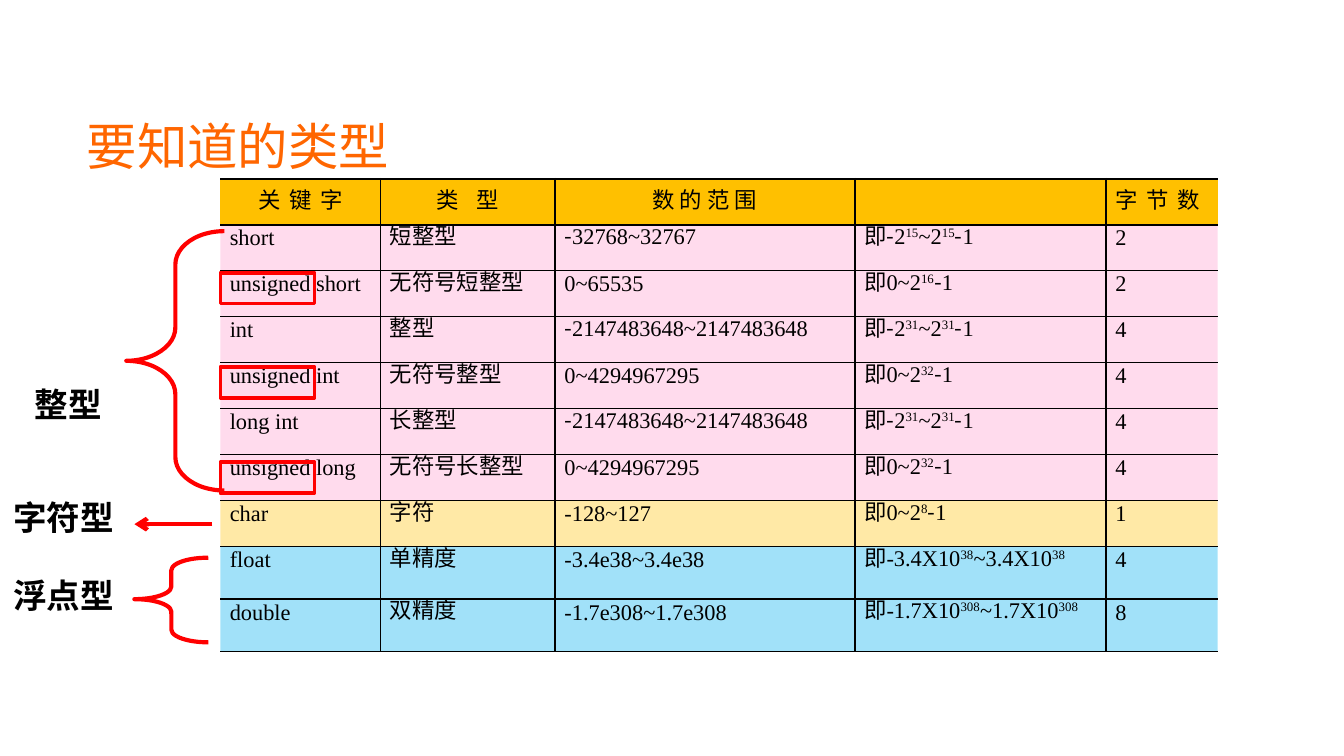
from lxml import etree
from pptx import Presentation
from pptx import util as u
from pptx.dml.color import RGBColor
from pptx.enum import shapes, text
from pptx.oxml import ns


def rgb(value):
    return RGBColor.from_string(value)


def sub(parent, tag, **attrs):
    return etree.SubElement(parent, ns.qn(tag), attrs)


prs = Presentation()
prs.slide_width, prs.slide_height = u.Inches(10), u.Inches(10 * 9 / 16)
s = prs.slides.add_slide(prs.slide_layouts[6])
CJK, SERIF, RED, BLACK = "Noto Sans CJK SC", "Times New Roman", "FF0000", "000000"

tf = s.shapes.add_textbox(u.Inches(0.16), u.Inches(0.7), u.Inches(3.22), u.Inches(0.77)).text_frame
tf.word_wrap = True
tf.vertical_anchor = text.MSO_ANCHOR.MIDDLE
tf.margin_left = tf.margin_right = u.Inches(0.07)
tf.margin_top = tf.margin_bottom = u.Inches(0.04)
p = tf.paragraphs[0]
p.text = "要知道的类型"
p.alignment = text.PP_ALIGN.CENTER
p.font.size, p.font.name, p.font.color.rgb = u.Pt(27), "Arial", rgb("FF6600")

signed_31 = "即|-|2|^31|~2|^31|-|1"
rows = [
    ["关 键 字", "类 型", "数 的 范 围", "", "字 节 数"],
    ["short", "短整型", "-|32768~32767", "即|-|2|^15|~2|^15|-|1", "2"],
    ["unsigned short", "无符号短整型", "0~65535", "即0~2|^16|-|1", "2"],
    ["int", "整型", "-|2147483648~2147483648", signed_31, "4"],
    ["unsigned int", "无符号整型", "0~4294967295", "即0~2|^32|-|1", "4"],
    ["long int", "长整型", "-|2147483648~2147483648", signed_31, "4"],
    ["unsigned long", "无符号长整型", "0~4294967295", "即0~2|^32|-|1", "4"],
    ["char", "字符", "-128~127", "即0~2|^8|-|1", "1"],
    ["float", "单精度", "-3.4e38~3.4e38", "即-3.4X10|^38|~3.4X10|^38", "4"],
    ["double", "双精度", "-1.7e308~1.7e308", "即-1.7X10|^308|~1.7X10|^308", "8"],
]
fills = [("FFC000", 100)] + [("FF99CC", 35)] * 6 + [("FFC000", 35)] + [("00B0F0", 37)] * 2
header_spacing = [1, 3.6, 0, 0, 1]
last = len(rows[0]) - 1

table = s.shapes.add_table(len(rows), len(rows[0]), u.Inches(1.64), u.Inches(1.33),
                           u.Inches(7.42), u.Inches(3.52)).table
table.first_row = table.horz_banding = False
for column, width in zip(table.columns, [1.19, 1.3, 2.23, 1.87, 0.83]):
    column.width = u.Inches(width)
for i, row in enumerate(table.rows):
    row.height = u.Inches(0.39 if i >= 8 else 2.74 / 8)

for i, (values, (color, alpha)) in enumerate(zip(rows, fills)):
    for j, value in enumerate(values):
        cell = table.cell(i, j)
        cell.margin_left = cell.margin_right = u.Inches(0.07)
        cell.margin_top = cell.margin_bottom = 0
        cell.vertical_anchor = text.MSO_ANCHOR.TOP if i else text.MSO_ANCHOR.MIDDLE
        tcPr = cell._tc.get_or_add_tcPr()
        for side in "LRTB":
            ln = sub(tcPr, "a:ln" + side, w=str(u.Pt(1)))
            if (side, j) in [("L", 0), ("R", last)]:
                sub(ln, "a:noFill")
            else:
                sub(sub(ln, "a:solidFill"), "a:srgbClr", val=BLACK)
        cell.fill.solid()
        cell.fill.fore_color.rgb = rgb(color)
        if alpha < 100:
            clr = tcPr.find(ns.qn("a:solidFill")).find(ns.qn("a:srgbClr"))
            sub(clr, "a:alpha", val=str(alpha * 1000))

        p = cell.text_frame.paragraphs[0]
        p.line_spacing = u.Pt(14)
        if i == 0 and j < last:
            p.alignment = text.PP_ALIGN.CENTER
        elif j:
            p.alignment = text.PP_ALIGN.JUSTIFY
        p.font.size, p.font.color.rgb = u.Pt(12), rgb(BLACK)
        p.font.name = "Arial" if i == 0 and j < 2 else SERIF
        for part in value.split("|") if value else []:
            r = p.add_run()
            r.text = part.lstrip("^")
            if part.startswith("^"):
                r.font._element.set("baseline", "30000")
            elif part == "-":
                r.font.name = CJK
            if i == 0 and header_spacing[j]:
                r.font._element.set("spc", str(int(header_spacing[j] * 100)))

brace, rect = shapes.MSO_SHAPE.LEFT_BRACE, shapes.MSO_SHAPE.RECTANGLE
outlines = [
    (brace, 0.94, 1.72, 0.73, 1.93, 2.25, (0.34, 0.5)),
    (brace, 1, 4.15, 0.55, 0.63, 2.25, (0.17, 0.49)),
] + [(rect, 1.64, y, 0.7, 0.23, 2, ()) for y in (2.03, 2.73, 3.44)]
for kind, x, y, w, h, weight, adjustments in outlines:
    sp = s.shapes.add_shape(kind, u.Inches(x), u.Inches(y), u.Inches(w), u.Inches(h))
    sp.shadow.inherit = False
    sp.fill.background()
    sp.line.color.rgb, sp.line.width = rgb(RED), u.Pt(weight)
    for i, adjustment in enumerate(adjustments):
        sp.adjustments[i] = adjustment

for label, x, y, w in [("整型", 0.16, 2.81, 0.86), ("浮点型", 0, 4.23, 1.02), ("字符型", 0, 3.65, 1.03)]:
    tf = s.shapes.add_textbox(u.Inches(x), u.Inches(y), u.Inches(w), u.Inches(0.4)).text_frame
    tf.word_wrap = True
    tf.auto_size = text.MSO_AUTO_SIZE.SHAPE_TO_FIT_TEXT
    p = tf.paragraphs[0]
    p.text = label
    p.font.size, p.font.name, p.font.bold = u.Pt(18), CJK, True
    p.font.color.rgb = rgb(BLACK)

arrow = s.shapes.add_connector(shapes.MSO_CONNECTOR.STRAIGHT, u.Inches(1.58), u.Inches(3.9),
                               u.Inches(1), u.Inches(3.9))
arrow.line.color.rgb, arrow.line.width = rgb(RED), u.Pt(2.25)
sub(arrow.line._get_or_add_ln(), "a:tailEnd", type="arrow")
sub(arrow._element.spPr, "a:effectLst")

prs.save("out.pptx")
